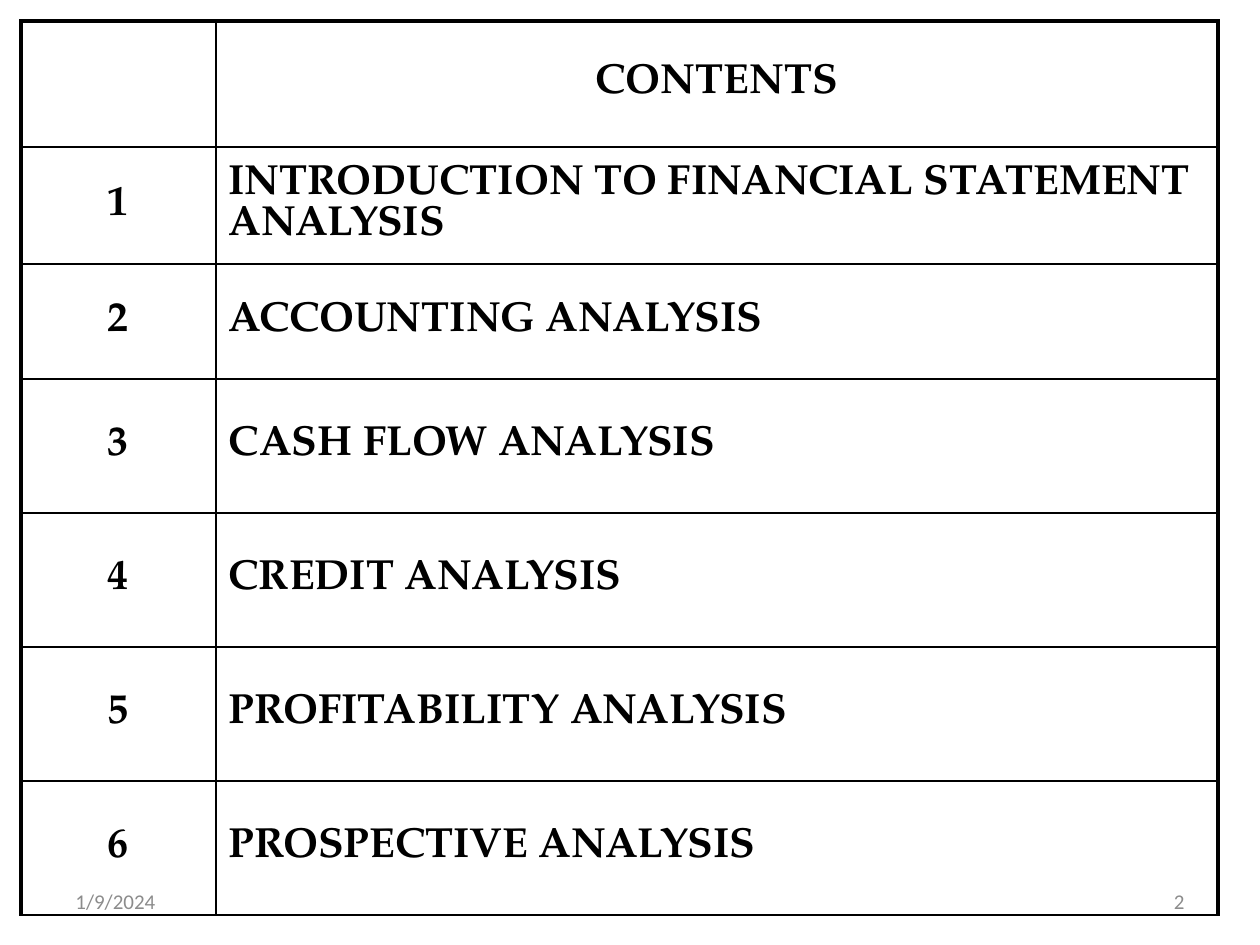
"""Build the contents slide: a bordered table with a date and a slide number."""
from lxml import etree
from pptx import Presentation
from pptx import util as u
from pptx.dml.color import RGBColor
from pptx.enum import text
from pptx.oxml.ns import qn

PX = 914400 // 126
BLACK = RGBColor(0, 0, 0)
GREY = RGBColor(0x8C, 0x8C, 0x8C)
LEFT, CENTER, RIGHT = text.PP_ALIGN.LEFT, text.PP_ALIGN.CENTER, text.PP_ALIGN.RIGHT
THIN, THICK = 1, 2.25
TABLE_FONT = {"name": "TeX Gyre Pagella", "size": u.Pt(24), "bold": True}
FOOTER_FONT = {"name": "Calibri", "size": u.Pt(12), "bold": False}


def write(tf, content, align, font, color):
    p = tf.paragraphs[0]
    p.alignment = align
    r = p.add_run()
    r.text = content
    for key, value in font.items():
        setattr(r.font, key, value)
    r.font.color.rgb = color
    return p


def set_borders(cell, widths):
    tcPr = cell._tc.get_or_add_tcPr()
    for i, (side, width) in enumerate(widths.items()):
        ln = etree.Element(qn("a:ln" + side), w=str(u.Pt(width)))
        fill = etree.SubElement(ln, qn("a:solidFill"))
        etree.SubElement(fill, qn("a:srgbClr"), val=str(BLACK))
        tcPr.insert(i, ln)


prs = Presentation()
prs.slide_width, prs.slide_height = u.Inches(10), u.Inches(7.5)
s = prs.slides.add_slide(prs.slide_layouts[6])

for left, content, align in [(63, "1/9/2024", LEFT), (903, "2", RIGHT)]:
    sp = s.shapes.add_textbox(left * PX, 876 * PX, 294 * PX, 50 * PX)
    tf = sp.text_frame
    tf.word_wrap = True
    tf.vertical_anchor = text.MSO_ANCHOR.MIDDLE
    write(tf, content, align, FOOTER_FONT, GREY)

topics = [
    "INTRODUCTION TO FINANCIAL STATEMENT ANALYSIS",
    "ACCOUNTING ANALYSIS",
    "CASH FLOW ANALYSIS",
    "CREDIT ANALYSIS",
    "PROFITABILITY ANALYSIS",
    "PROSPECTIVE ANALYSIS",
]
rows = [("", "CONTENTS")] + [(str(n), topic) for n, topic in enumerate(topics, 1)]
widths = [195, 1002]
heights = [126, 117, 115] + [134] * 4

frame = s.shapes.add_table(len(rows), len(widths), 21 * PX, 21 * PX,
                           sum(widths) * PX, sum(heights) * PX)
table = frame.table
table.first_row = table.horz_banding = False
for column, width in zip(table.columns, widths):
    column.width = width * PX
for row, height in zip(table.rows, heights):
    row.height = height * PX

for i, row in enumerate(rows):
    for j, content in enumerate(row):
        cell = table.cell(i, j)
        cell.fill.background()
        cell.vertical_anchor = text.MSO_ANCHOR.MIDDLE
        set_borders(cell, {
            "L": THICK if j == 0 else THIN,
            "R": THICK if j == 1 else THIN,
            "T": THICK if i == 0 else THIN,
            "B": THIN,
        })
        if content:
            align = CENTER if i == 0 or j == 0 else LEFT
            p = write(cell.text_frame, content, align, TABLE_FONT, BLACK)
            p.space_before = u.Pt(4.8)

prs.save("out.pptx")
